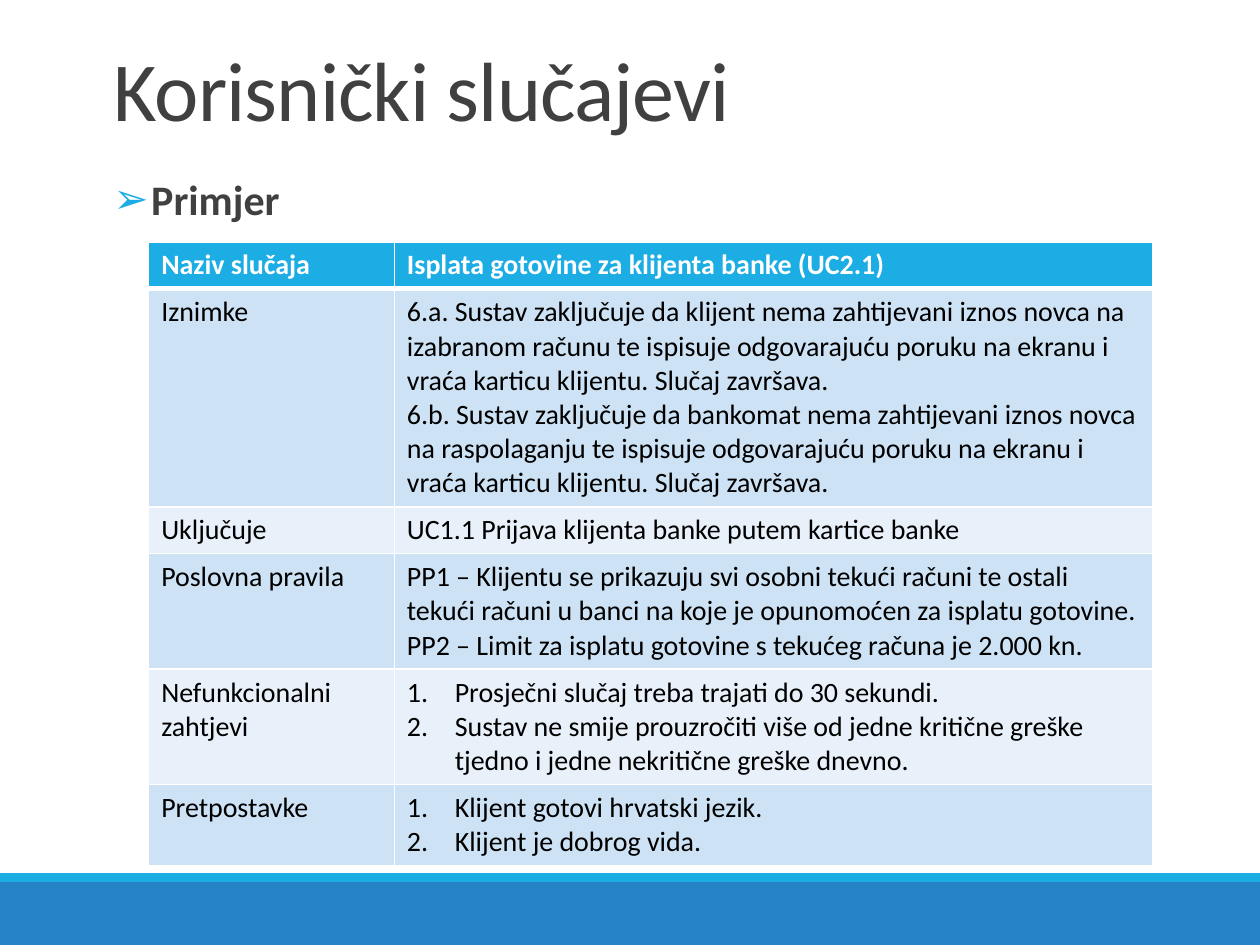
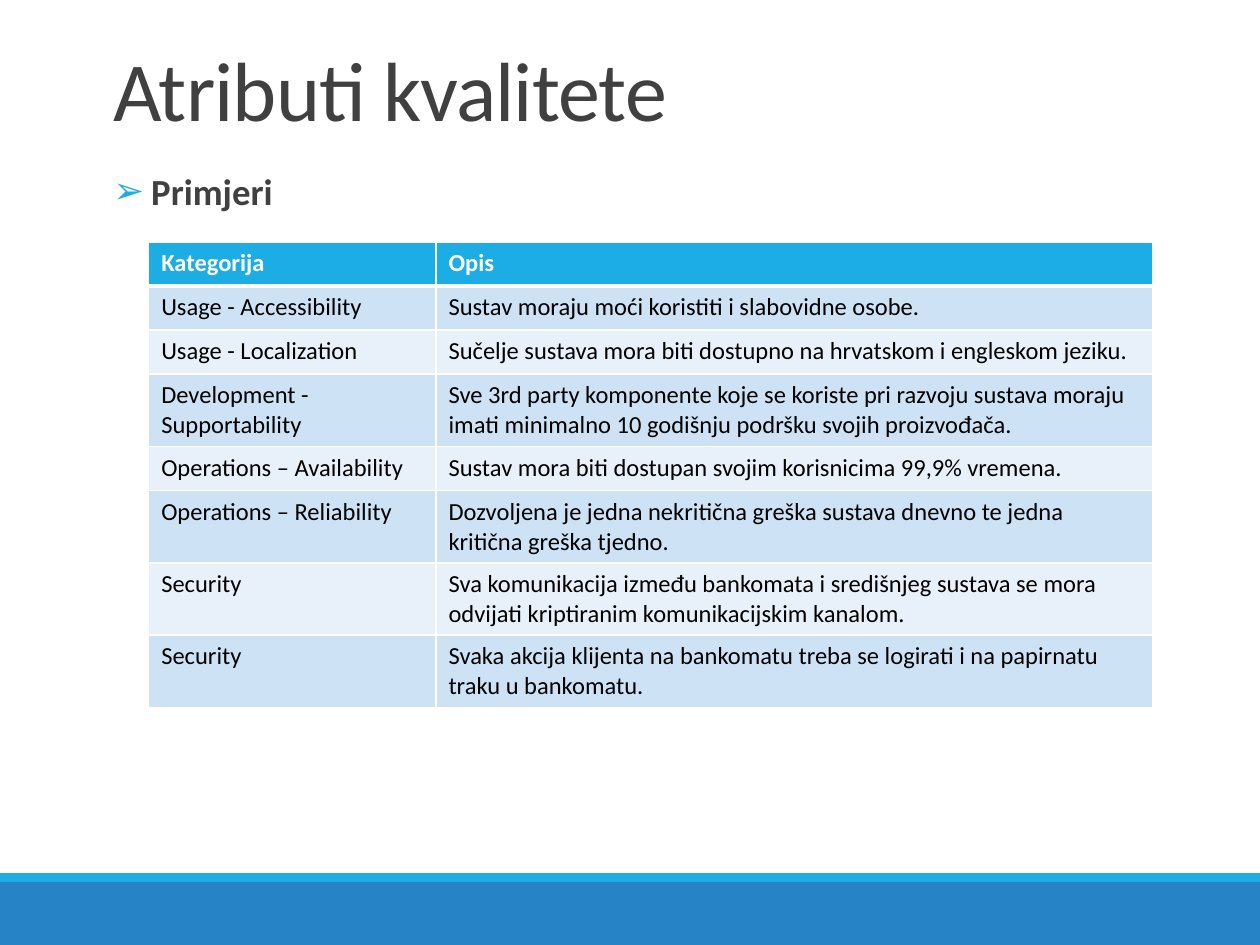
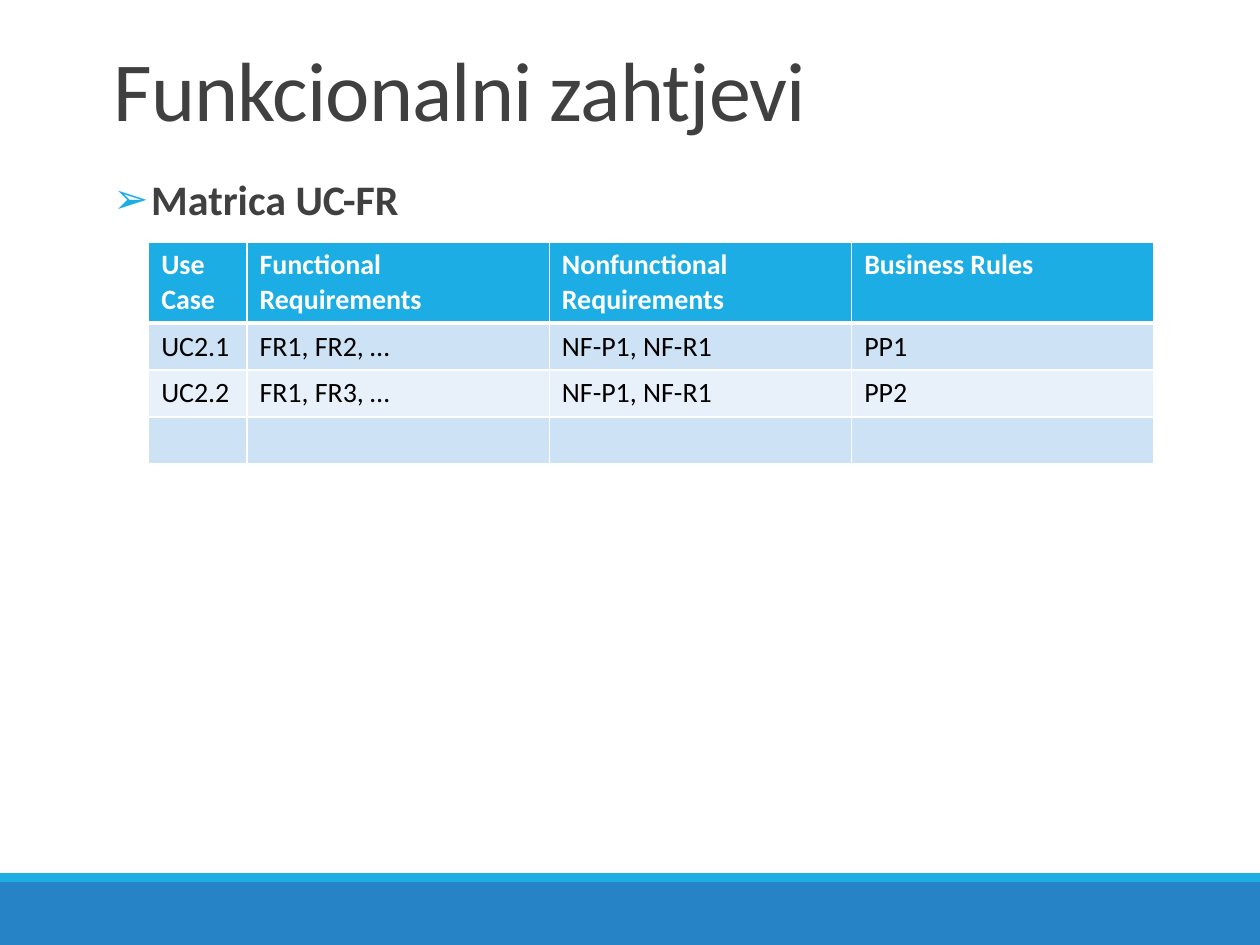
from lxml.etree import SubElement
from pptx import Presentation
from pptx.dml.color import RGBColor
from pptx.enum.shapes import MSO_SHAPE as Shape
from pptx.enum.text import MSO_ANCHOR as Anchor, MSO_AUTO_SIZE as AutoSize, PP_ALIGN as Align
from pptx.oxml.ns import qn
from pptx.util import Pt

PX = 9144
FONT = "Calibri"
WHITE = RGBColor(0xFF, 0xFF, 0xFF)
BLACK = RGBColor(0x00, 0x00, 0x00)
GREY = RGBColor(0x40, 0x40, 0x40)
CYAN = RGBColor(0x1C, 0xAD, 0xE4)
BLUE = RGBColor(0x26, 0x83, 0xC6)
BAND_DARK = RGBColor(0xCD, 0xE3, 0xF5)
BAND_LIGHT = RGBColor(0xE8, 0xF1, 0xFA)

FOOTER_BANDS = [(0, 700, 1000, 50, BLUE), (0, 693, 1000, 7, CYAN)]
TITLE_BOX = (90, 27, 825, 88)
BODY_BOX = (90, 129, 825, 505)
TABLE_LEFT, TABLE_TOP, ROW_HEIGHT = 118, 192, 35
BULLET_INDENT, NUMBER_INDENT = 30, 38


def set_format(target, **values):
    for name, value in values.items():
        setattr(target, name, value)


def emu(*lengths):
    return [length * PX for length in lengths]


class Slides:
    def __init__(self):
        self.deck = Presentation()
        set_format(self.deck, slide_width=1000 * PX, slide_height=750 * PX)
        self.page = None

    def add_page(self, title):
        first = self.page is None
        self.page = self.deck.slides.add_slide(self.deck.slide_layouts[1])
        if first:
            self.footer_bands()
        para = self.placeholder(self.page.shapes.title, TITLE_BOX, Anchor.BOTTOM)
        set_format(para, line_spacing=0.85)
        span = self.add_span(para, title, 48, GREY)
        span._r.get_or_add_rPr().set("spc", "-50")

    def footer_bands(self):
        tree = self.deck.slide_master.shapes._spTree
        for order, (left, top, width, height, color) in enumerate(FOOTER_BANDS):
            band = self.page.shapes.add_shape(Shape.RECTANGLE, *emu(left, top, width, height))
            band.shadow.inherit = False
            band.fill.solid()
            band.fill.fore_color.rgb = color
            band.line.fill.background()
            band._element.nvSpPr.cNvPr.set("id", str(100 + order))
            tree.insert(2 + order, band._element)

    def placeholder(self, box, place, anchor):
        left, top, width, height = emu(*place)
        set_format(box, left=left, top=top, width=width, height=height)
        frame = box.text_frame
        set_format(frame, margin_left=0, margin_right=0, margin_top=5 * PX, margin_bottom=5 * PX,
                   vertical_anchor=anchor, word_wrap=True, auto_size=AutoSize.NONE)
        para = frame.paragraphs[0]
        set_format(para, alignment=Align.LEFT, space_before=Pt(0))
        return para

    def add_span(self, para, text, size, color, bold=False):
        span = para.add_run()
        span.text = text
        set_format(span.font, name=FONT, size=Pt(size), bold=bold)
        span.font.color.rgb = color
        return span

    def indent(self, para, length):
        props = para._p.get_or_add_pPr()
        props.set("marL", str(length * PX))
        props.set("indent", str(-length * PX))
        return props

    def subtitle(self, text, size=24, line_spacing=1.1):
        para = self.placeholder(self.page.placeholders[1], BODY_BOX, Anchor.TOP)
        set_format(para, line_spacing=line_spacing, space_after=Pt(12))
        props = self.indent(para, BULLET_INDENT)
        SubElement(SubElement(props, qn("a:buClr")), qn("a:srgbClr"), val=str(CYAN))
        SubElement(props, qn("a:buChar"), char="➢")
        self.add_span(para, text, size, GREY, True)

    def borders(self, cell, row):
        widths = {"L": 1, "R": 1, "T": 3 if row == 1 else 1, "B": 3 if row == 0 else 1}
        for side, width in widths.items():
            line = SubElement(cell._tc.get_or_add_tcPr(), qn(f"a:ln{side}"), w=str(Pt(width)))
            SubElement(SubElement(line, qn("a:solidFill")), qn("a:srgbClr"), val=str(WHITE))

    def cell(self, cell, text, row, size, numbered):
        header = row == 0
        self.borders(cell, row)
        cell.fill.solid()
        cell.fill.fore_color.rgb = CYAN if header else BAND_DARK if row % 2 else BAND_LIGHT
        frame = cell.text_frame
        for order, line in enumerate(text.split("\n")):
            para = frame.add_paragraph() if order else frame.paragraphs[0]
            if numbered:
                props = self.indent(para, NUMBER_INDENT)
                SubElement(props, qn("a:buAutoNum"), type="arabicPeriod")
            if line:
                self.add_span(para, line, size, WHITE if header else BLACK, header)
            else:
                SubElement(para._p, qn("a:endParaRPr"), sz=str(size * 100))

    def table(self, widths, height, rows, size=16, numbered_rows=()):
        place = emu(TABLE_LEFT, TABLE_TOP, sum(widths), height)
        frame = self.page.shapes.add_table(len(rows), len(widths), *place)
        table = frame.table
        for column, width in zip(table.columns, widths):
            column.width = width * PX
        for row, texts in enumerate(rows):
            table.rows[row].height = ROW_HEIGHT * PX
            for column, text in enumerate(texts):
                numbered = row in numbered_rows and column == 1
                self.cell(table.cell(row, column), text, row, size, numbered)
        frame.height = height * PX


USE_CASE = [
    ("Naziv slučaja", "Isplata gotovine za klijenta banke (UC2.1)"),
    ("Iznimke",
     "6.a. Sustav zaključuje da klijent nema zahtijevani iznos novca na izabranom računu "
     "te ispisuje odgovarajuću poruku na ekranu i vraća karticu klijentu. Slučaj završava.\n"
     "6.b. Sustav zaključuje da bankomat nema zahtijevani iznos novca na raspolaganju "
     "te ispisuje odgovarajuću poruku na ekranu i vraća karticu klijentu. Slučaj završava."),
    ("Uključuje", "UC1.1 Prijava klijenta banke putem kartice banke"),
    ("Poslovna pravila",
     "PP1 – Klijentu se prikazuju svi osobni tekući računi te ostali tekući računi u banci "
     "na koje je opunomoćen za isplatu gotovine.\n"
     "PP2 – Limit za isplatu gotovine s tekućeg računa je 2.000 kn."),
    ("Nefunkcionalni zahtjevi",
     "Prosječni slučaj treba trajati do 30 sekundi.\n"
     "Sustav ne smije prouzročiti više od jedne kritične greške tjedno "
     "i jedne nekritične greške dnevno."),
    ("Pretpostavke", "Klijent gotovi hrvatski jezik.\nKlijent je dobrog vida."),
]

QUALITY = [
    ("Kategorija", "Opis"),
    ("Usage - Accessibility", "Sustav moraju moći koristiti i slabovidne osobe."),
    ("Usage - Localization",
     "Sučelje sustava mora biti dostupno na hrvatskom i engleskom jeziku."),
    ("Development - Supportability",
     "Sve 3rd party komponente koje se koriste pri razvoju sustava moraju imati "
     "minimalno 10 godišnju podršku svojih proizvođača."),
    ("Operations – Availability",
     "Sustav mora biti dostupan svojim korisnicima 99,9% vremena."),
    ("Operations – Reliability",
     "Dozvoljena je jedna nekritična greška sustava dnevno te jedna kritična greška tjedno."),
    ("Security",
     "Sva komunikacija između bankomata i središnjeg sustava se mora odvijati "
     "kriptiranim komunikacijskim kanalom."),
    ("Security",
     "Svaka akcija klijenta na bankomatu treba se logirati i na papirnatu traku u bankomatu."),
]

MATRIX = [
    ("Use Case", "Functional Requirements", "Nonfunctional Requirements", "Business Rules"),
    ("UC2.1", "FR1, FR2, …", "NF-P1, NF-R1", "PP1"),
    ("UC2.2", "FR1, FR3, …", "NF-P1, NF-R1", "PP2"),
    ("", "", "", ""),
]


def main():
    slides = Slides()

    slides.add_page("Korisnički slučajevi")
    slides.subtitle("Primjer")
    slides.table([195, 602], 487, USE_CASE, numbered_rows=(4, 5))

    slides.add_page("Atributi kvalitete")
    slides.subtitle("Primjeri", size=21, line_spacing=1.0)
    slides.table([228, 569], 367, QUALITY, size=14)

    slides.add_page("Funkcionalni zahtjevi")
    slides.subtitle("Matrica UC-FR")
    slides.table([78, 240, 240, 240], 173, MATRIX)

    slides.deck.save("out.pptx")


if __name__ == "__main__":
    main()
